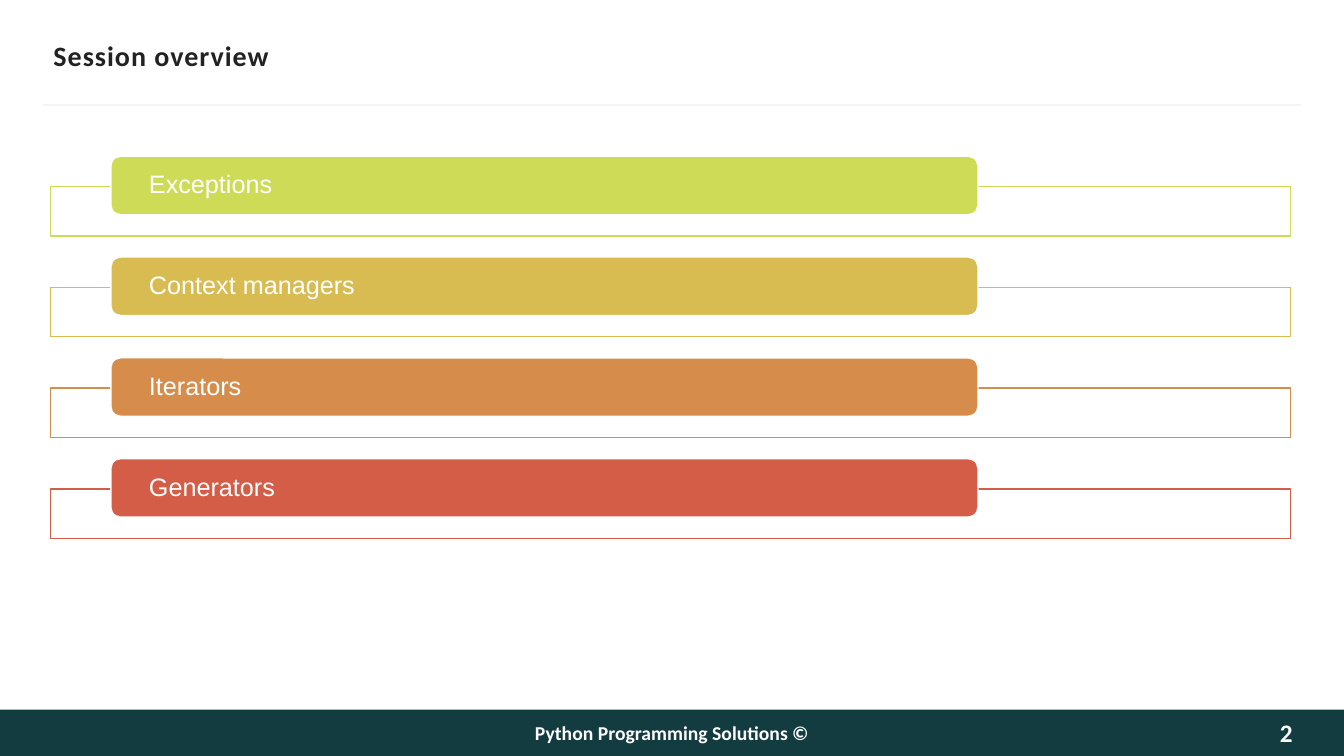
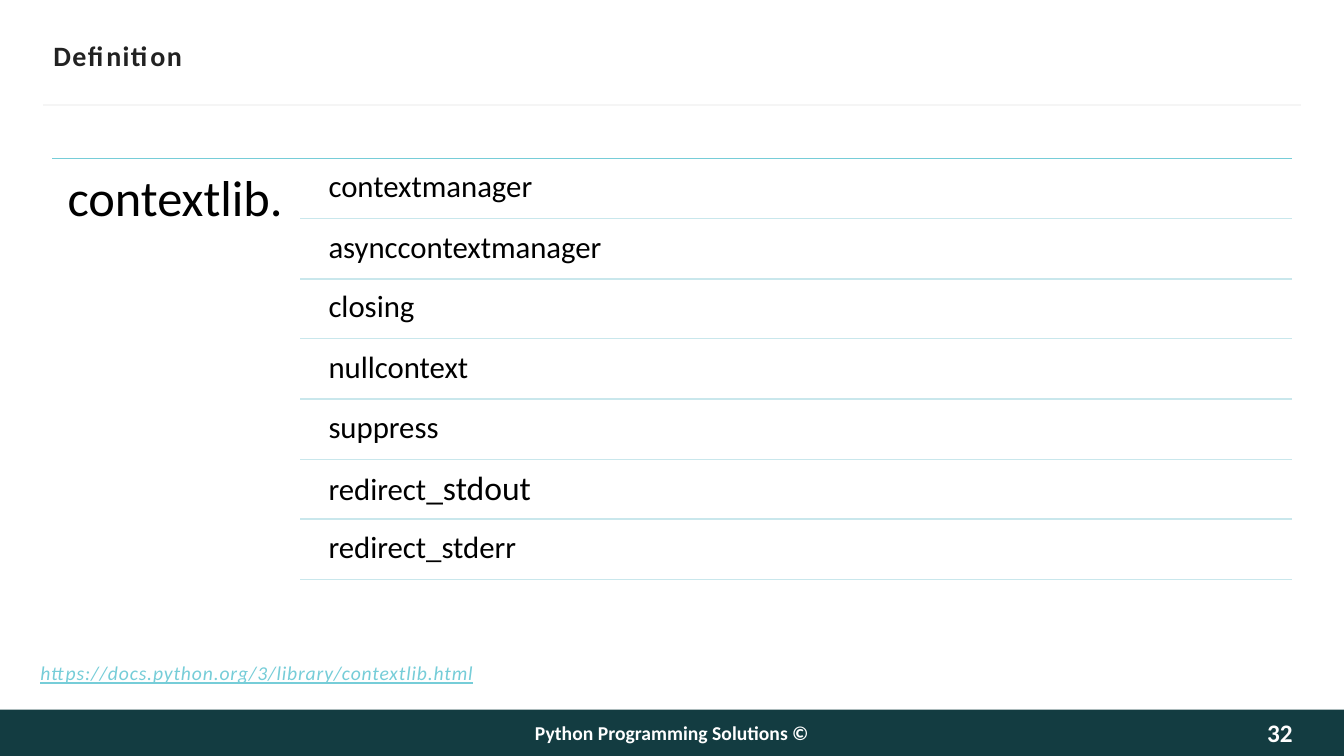
"""Build the session overview and the contextlib definition slides."""
from lxml.etree import SubElement
from pptx import Presentation
from pptx.dml.color import RGBColor
from pptx.enum.shapes import MSO_CONNECTOR as Connector, MSO_SHAPE as Shape
from pptx.enum.text import MSO_ANCHOR as Anchor, PP_ALIGN as Align
from pptx.oxml.ns import qn
from pptx.util import Pt

PX = 9144
WIDTH, HEIGHT = 1333, 750
COLORS = {
    "band": "133C41", "rule": "F5F5F5", "title": "222222", "white": "FFFFFF",
    "number": "FEFEFE", "accent": "76CDD8", "divider": "C9E7EC", "ink": "000000",
    "lime": "CEDB56", "gold": "D8BB51", "orange": "D68D4C", "red": "D35D47",
}
FOOTER = "Python Programming Solutions ©"

OVERVIEW = {"title": "Session overview", "number": "2", "spacing": 70}
TOPICS = [("Exceptions", "lime"), ("Context managers", "gold"),
          ("Iterators", "orange"), ("Generators", "red")]
TOPIC_TOP, TOPIC_PITCH = 155, 100

DEFINITION = {"title": "Definition", "number": "32", "spacing": 100}
MODULE = "contextlib."
MEMBERS = [
    [("contextmanager", 22)], [("asynccontextmanager", 22)], [("closing", 22)],
    [("nullcontext", 22)], [("suppress", 22)],
    [("redirect", 22), ("_stdout", 24)], [("redirect_stderr", 22)],
]
REFERENCE = "https://docs.python.org/3/library/contextlib.html"
FIRST_DIVIDER, LAST_DIVIDER = 217, 575


def px(*lengths):
    return [length * PX for length in lengths]


def rgb(name):
    return RGBColor.from_string(COLORS[name])


def write(shape, runs, color="ink", font="Calibri", bold=False, italic=False,
          underline=False, spacing=0, align=Align.LEFT, anchor=Anchor.MIDDLE,
          insets=(0, 5, 0, 5), wrap=True, line_spacing=None, after=0):
    frame = shape.text_frame
    frame.word_wrap, frame.vertical_anchor = wrap, anchor
    (frame.margin_left, frame.margin_top,
     frame.margin_right, frame.margin_bottom) = px(*insets)
    paragraph = frame.paragraphs[0]
    paragraph.alignment = align
    paragraph.space_after = Pt(after)
    if line_spacing:
        paragraph.line_spacing = line_spacing
    for words, size in runs:
        run = paragraph.add_run()
        run.text = words
        style = run.font
        style.name, style.size, style.bold = font, Pt(size), bold
        style.italic, style.underline = italic, underline
        style.color.rgb = rgb(color)
        if spacing:
            run._r.get_or_add_rPr().set("spc", str(spacing))


def add_text(slide, box, runs, **style):
    write(slide.shapes.add_textbox(*px(*box)), runs, **style)


def add_box(slide, kind, box, fill, line=None):
    shape = slide.shapes.add_shape(kind, *px(*box))
    shape.shadow.inherit = False
    shape.fill.solid()
    shape.fill.fore_color.rgb = rgb(fill)
    if line:
        shape.line.color.rgb = rgb(line)
        shape.line.width = Pt(1)
    else:
        shape.line.fill.background()
    return shape


def add_rule(slide, left, right, y, color, weight=1):
    rule = slide.shapes.add_connector(Connector.STRAIGHT, *px(left, y, right, y))
    rule.line.color.rgb = rgb(color)
    rule.line.width = Pt(weight)
    SubElement(rule._element.spPr, qn("a:effectLst"))


def add_page(deck, title, number, spacing):
    slide = deck.slides.add_slide(deck.slide_layouts[5])
    add_box(slide, Shape.RECTANGLE, (0, 704, WIDTH, 46), "band")
    add_rule(slide, 43, 1290, 104, "rule", 1.5)
    heading = slide.shapes.title
    heading.left, heading.top, heading.width, heading.height = px(53, 33, 1228, 44)
    write(heading, [(title, 20)], color="title", bold=True, spacing=spacing)
    add_text(slide, (350, 704, 633, 45), [(FOOTER, 14)], color="white", bold=True,
             align=Align.CENTER, insets=(10, 5, 10, 5))
    add_text(slide, (1215, 704, 67, 46), [(number, 18)], color="number", bold=True,
             align=Align.RIGHT, insets=(0, 0, 0, 0))
    return slide


def build_overview(deck):
    slide = add_page(deck, **OVERVIEW)
    for index, (topic, color) in enumerate(TOPICS):
        top = TOPIC_TOP + index * TOPIC_PITCH
        add_box(slide, Shape.RECTANGLE, (50, top + 30, 1230, 49), "white", color)
        bar = add_box(slide, Shape.ROUNDED_RECTANGLE, (110, top, 860, 58), color, "white")
        write(bar, [(topic, 18)], color="white", font="Arial",
              insets=(35, 3, 33, 3), line_spacing=0.9, after=6.3)


def build_definition(deck):
    slide = add_page(deck, **DEFINITION)
    add_rule(slide, 52, 1281, 157, "accent")
    add_text(slide, (52, 157, 246, 420), [(MODULE, 36)], anchor=Anchor.TOP,
             insets=(15, 15, 15, 15), line_spacing=0.9, after=12.6)
    pitch = (LAST_DIVIDER - FIRST_DIVIDER) / (len(MEMBERS) - 1)
    for index, member in enumerate(MEMBERS):
        divider = round(FIRST_DIVIDER + index * pitch)
        add_text(slide, (316, divider - 57, 965, 57), member, anchor=Anchor.TOP,
                 insets=(10, 10, 10, 10), line_spacing=0.9, after=8.4)
        add_rule(slide, 298, 1281, divider, "divider")
    add_text(slide, (40, 646, 1228, 43), [(REFERENCE, 14)], color="accent",
             italic=True, underline=True, spacing=60)


def main():
    deck = Presentation()
    deck.slide_width, deck.slide_height = px(WIDTH, HEIGHT)
    build_overview(deck)
    build_definition(deck)
    deck.save("out.pptx")


if __name__ == "__main__":
    main()
